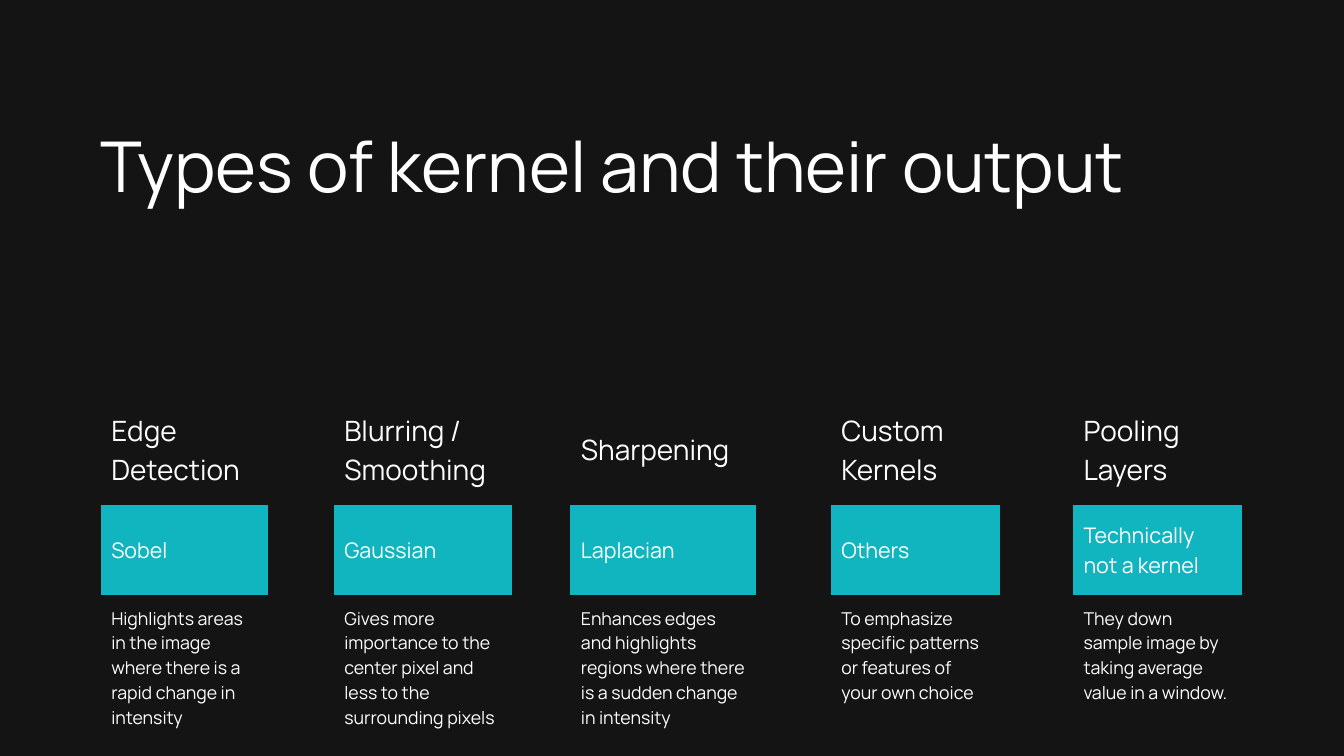
from pptx import Presentation
from pptx.dml.color import RGBColor
from pptx.enum.text import MSO_ANCHOR, MSO_AUTO_SIZE, PP_ALIGN
from pptx.oxml.ns import qn
from pptx.util import Emu, Pt

EMU_PER_PX = 9525
PLAIN_TABLE_STYLE = "{2D5ABB26-0587-4C30-8999-92F81FD0307C}"

COLUMN_WIDTHS = [239, 94, 254, 84, 265, 107, 241, 105, 242]
ROW_HEIGHTS = [160, 128, 221]
KERNELS = [
    ("Edge Detection", "Sobel",
     "Highlights areas in the image where there is a rapid change in intensity"),
    ("Blurring /\nSmoothing", "Gaussian",
     "Gives more importance to the center pixel and less to the surrounding pixels"),
    ("Sharpening", "Laplacian",
     "Enhances edges and highlights regions where there is a sudden change in intensity"),
    ("Custom Kernels", "Others",
     "To emphasize specific patterns or features of your own choice"),
    ("Pooling Layers", "Technically not a kernel",
     "They down sample image by taking average value in a window."),
]


def px(length):
    return Emu(length * EMU_PER_PX)


def color(value):
    return RGBColor.from_string(value)


def write_text(frame, text, *, size, leading, font, ink):
    frame.word_wrap = True
    for index, line in enumerate(text.split("\n")):
        para = frame.add_paragraph() if index else frame.paragraphs[0]
        para.alignment = PP_ALIGN.LEFT
        para.line_spacing = Pt(leading)
        para.space_before = para.space_after = Pt(0)
        span = para.add_run()
        span.text = line
        span.font.name = font
        span.font.size = Pt(size)
        span.font.color.rgb = color(ink)


class KernelSlide:
    font = "Manrope"
    ink = "FFFFFF"
    background = "141414"
    accent = "10B5BF"
    inset = 15
    row_styles = [
        {"size": 30, "leading": 42},
        {"size": 23, "leading": 32.2},
        {"size": 19, "leading": 26.6},
    ]

    def __init__(self, deck):
        self.page = deck.slides.add_slide(deck.slide_layouts[5])
        fill = self.page.background.fill
        fill.solid()
        fill.fore_color.rgb = color(self.background)

    def title(self, text, left, top, width, height):
        box = self.page.shapes.title
        box.left, box.top, box.width, box.height = map(px, (left, top, width, height))
        frame = box.text_frame
        frame.margin_left = frame.margin_top = frame.margin_right = frame.margin_bottom = 0
        frame.vertical_anchor = MSO_ANCHOR.TOP
        frame.auto_size = MSO_AUTO_SIZE.NONE
        write_text(frame, text, size=75, leading=90, font=self.font, ink=self.ink)

    def table(self, kernels, left, top, widths, heights):
        table = self.page.shapes.add_table(
            len(heights), len(widths), px(left), px(top),
            px(sum(widths)), px(sum(heights))).table
        table.first_row = table.horz_banding = False
        table._tbl.tblPr.find(qn("a:tableStyleId")).text = PLAIN_TABLE_STYLE
        for column, width in zip(table.columns, widths):
            column.width = px(width)
        for row, height in zip(table.rows, heights):
            row.height = px(height)
        for cell in table.iter_cells():
            cell.fill.background()
        for index, kernel in enumerate(kernels):
            for row, text in enumerate(kernel):
                self.cell(table.cell(row, index * 2), text, row)

    def cell(self, cell, text, row):
        cell.margin_left = cell.margin_right = px(self.inset)
        cell.margin_top = cell.margin_bottom = px(self.inset)
        cell.vertical_anchor = MSO_ANCHOR.TOP if row == 2 else MSO_ANCHOR.MIDDLE
        if row == 1:
            cell.fill.solid()
            cell.fill.fore_color.rgb = color(self.accent)
        write_text(cell.text_frame, text, font=self.font, ink=self.ink,
                   **self.row_styles[row])


def main():
    deck = Presentation()
    deck.slide_width, deck.slide_height = px(1920), px(1080)
    slide = KernelSlide(deck)
    slide.title("Types of kernel and their output", 144, 175, 1631, 241)
    slide.table(KERNELS, 144, 562, COLUMN_WIDTHS, ROW_HEIGHTS)
    deck.save("out.pptx")


if __name__ == "__main__":
    main()
